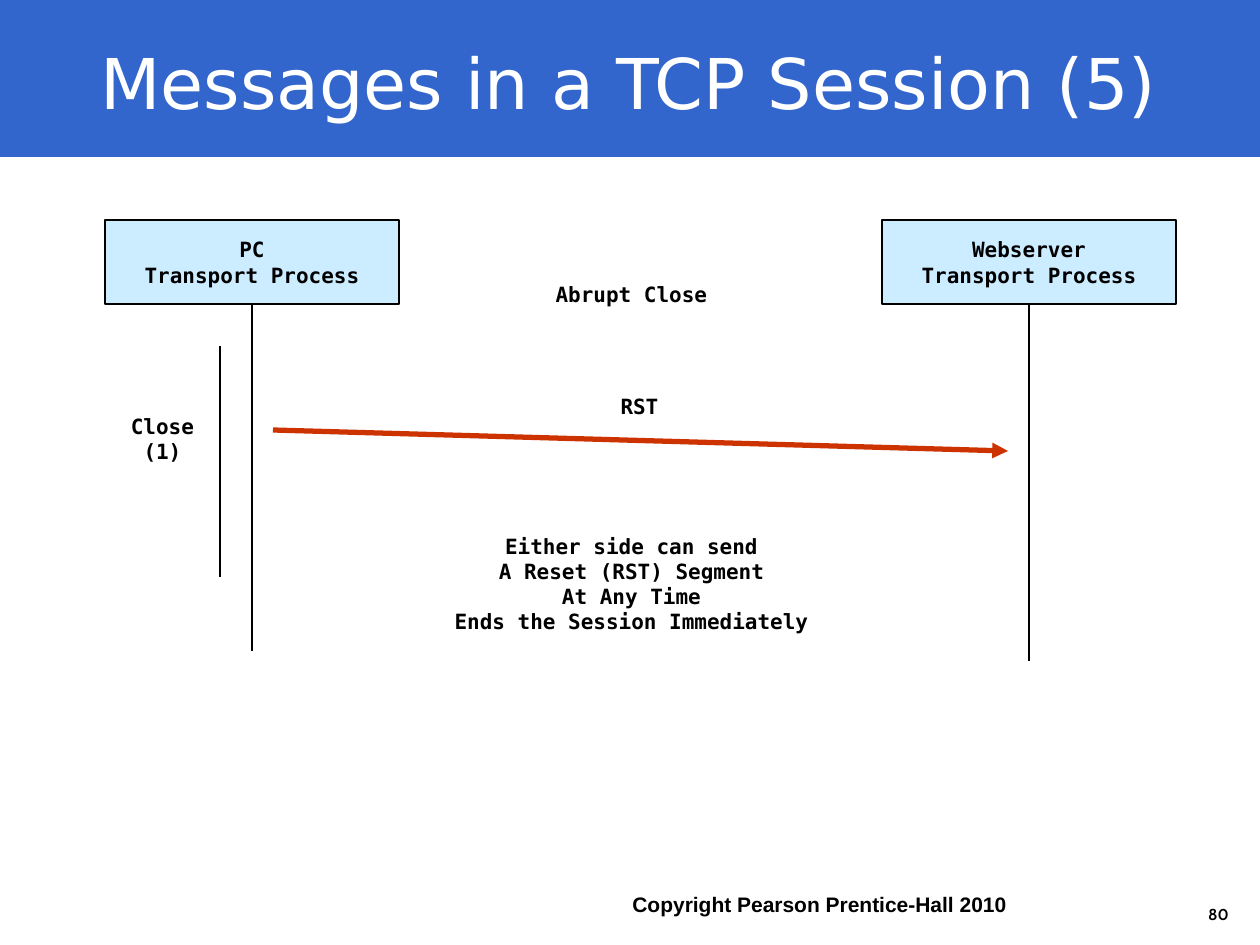
from pptx import Presentation
from pptx.dml.color import RGBColor
from pptx.enum.shapes import MSO_CONNECTOR, MSO_SHAPE
from pptx.enum.text import MSO_ANCHOR, PP_ALIGN
from pptx.oxml.ns import qn
from pptx.util import Pt
from lxml.etree import SubElement

EMU_PER_PX = 914400 / 126
WIDTH, HEIGHT = 1260, 945
BAND_HEIGHT = 157


def px(length):
    return round(length * EMU_PER_PX)


def color(value):
    return RGBColor.from_string(value)


class SlideBuilder:
    """Holds the diagram style and the slide being drawn."""

    font = "DejaVu Sans Mono"
    size = 12
    ink = "000000"
    line_width = 0.75

    def __init__(self, slide):
        self.slide = slide

    def add_lines(self, shape, lines, align=PP_ALIGN.CENTER, anchor=MSO_ANCHOR.TOP,
                  font=font, size=size, ink=ink, bold=True):
        """Put one paragraph per line of text into the shape."""
        frame = shape.text_frame
        frame.word_wrap = True
        frame.vertical_anchor = anchor
        for index, line in enumerate(lines):
            para = frame.add_paragraph() if index else frame.paragraphs[0]
            para.alignment = align
            span = para.add_run()
            span.text = line
            span.font.name = font
            span.font.size = Pt(size)
            span.font.bold = bold
            span.font.color.rgb = color(ink)

    def text(self, left, top, width, height, *lines, **style):
        box = self.slide.shapes.add_textbox(px(left), px(top), px(width), px(height))
        self.add_lines(box, lines, **style)

    def rectangle(self, left, top, width, height, fill, outlined=False):
        box = self.slide.shapes.add_shape(
            MSO_SHAPE.RECTANGLE, px(left), px(top), px(width), px(height))
        box.shadow.inherit = False
        box.fill.solid()
        box.fill.fore_color.rgb = color(fill)
        if outlined:
            box.line.color.rgb = color(self.ink)
            box.line.width = Pt(self.line_width)
        else:
            box.line.fill.background()
        return box

    def line(self, x1, y1, x2, y2, ink=ink, width=line_width, arrow=False):
        line = self.slide.shapes.add_connector(
            MSO_CONNECTOR.STRAIGHT, px(x1), px(y1), px(x2), px(y2))
        line.line.color.rgb = color(ink)
        line.line.width = Pt(width)
        properties = line._element.spPr
        if arrow:
            SubElement(properties.find(qn("a:ln")), qn("a:tailEnd"), type="triangle")
        SubElement(properties, qn("a:effectLst"))

    def process(self, left, name, lifeline_end):
        """Draw a named process box with its lifeline behind it."""
        width, top = 294, 220
        center = left + width // 2
        self.line(center, 284, center, lifeline_end)
        box = self.rectangle(left, top, width, 84, "CCECFF", outlined=True)
        self.add_lines(box, [name, "Transport Process"], anchor=MSO_ANCHOR.MIDDLE)


def main():
    deck = Presentation()
    deck.slide_width, deck.slide_height = px(WIDTH), px(HEIGHT)
    page = deck.slides.add_slide(deck.slide_layouts[6])
    page.background.fill.solid()
    page.background.fill.fore_color.rgb = color("B2B2B2")
    builder = SlideBuilder(page)

    builder.rectangle(0, 0, WIDTH, BAND_HEIGHT, "3366CC")
    builder.rectangle(0, BAND_HEIGHT, WIDTH, HEIGHT - BAND_HEIGHT, "FFFFFF")
    builder.text(1100, 891, 141, 39, "80", font="Cabin", size=9,
                 align=PP_ALIGN.RIGHT, anchor=MSO_ANCHOR.BOTTOM)
    builder.text(620, 885, 598, 50, "Copyright Pearson Prentice-Hall 2010",
                 font="Arial", align=PP_ALIGN.LEFT)
    builder.text(43, 8, 1171, 147, "Messages in a TCP Session (5)",
                 font="DejaVu Sans", size=40, ink="FFFFFF", bold=False,
                 anchor=MSO_ANCHOR.MIDDLE)

    builder.process(105, "PC", 651)
    builder.process(882, "Webserver", 661)
    builder.line(273, 430, 1008, 451, ink="CC3300", width=3, arrow=True)
    builder.line(220, 346, 220, 577)

    builder.text(107, 407, 111, 89, "Close", "(1)")
    builder.text(598, 387, 83, 50, "RST")
    builder.text(518, 275, 227, 50, "Abrupt Close")
    builder.text(390, 527, 483, 165, "Either side can send", "A Reset (RST) Segment",
                 "At Any Time", "Ends the Session Immediately")

    deck.save("out.pptx")


if __name__ == "__main__":
    main()
